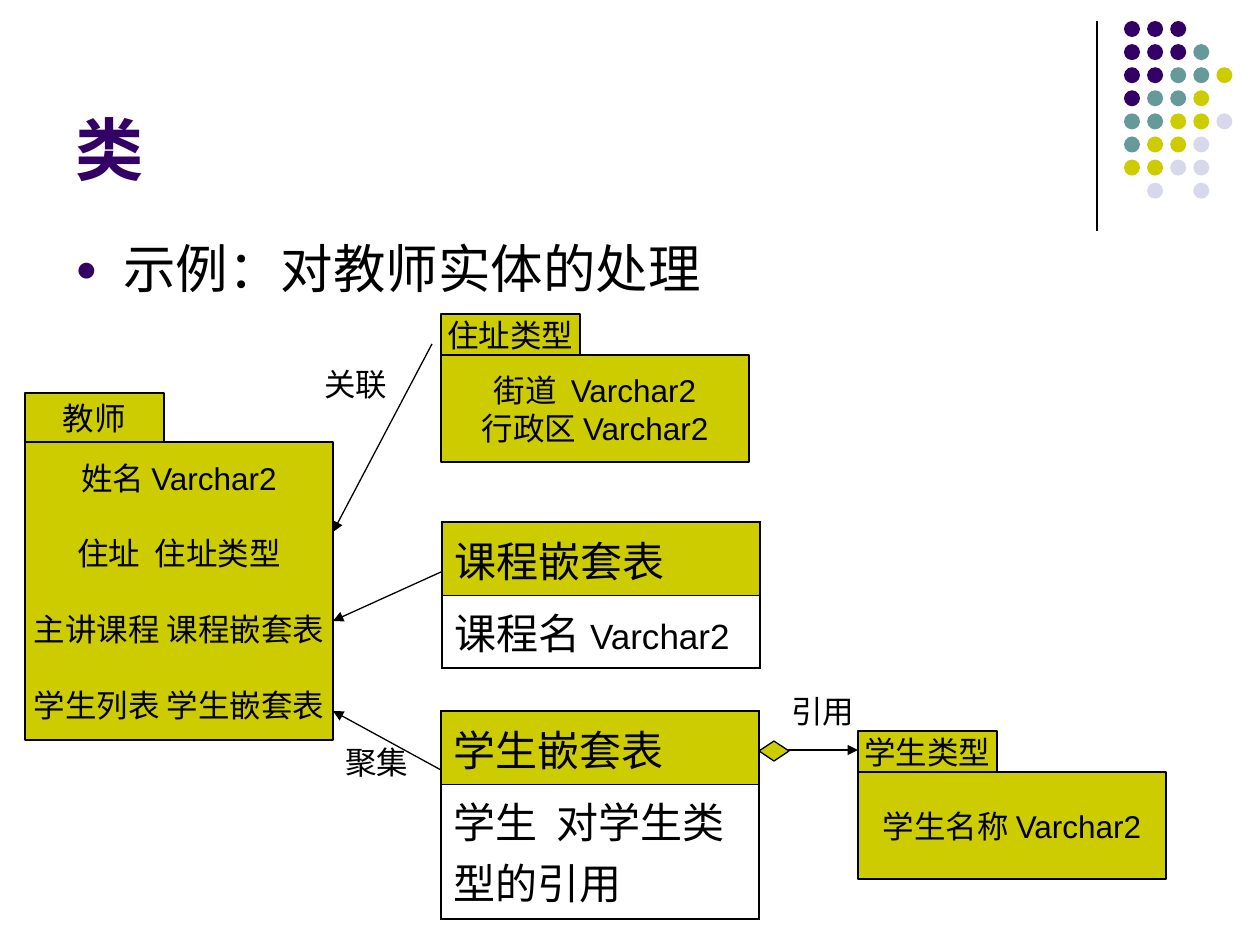
import pptx
import pptx.util
import pptx.dml.color
import pptx.enum.shapes
import pptx.enum.text
import pptx.oxml
import pptx.oxml.ns
from dataclasses import dataclass

EMU_PER_PX = 914400 / 126


@dataclass(frozen=True)
class Theme:
    font: str = "Arial"
    purple: str = "330066"
    teal: str = "669999"
    olive: str = "CCCC00"
    lilac: str = "D8D8EC"
    ink: str = "000000"
    title: int = 39
    body: int = 30
    table: int = 24
    type_name: int = 20
    label: int = 18
    line: float = 0.75
    border: float = 1.08
    divider: float = 0.45


THEME = Theme()
ALIGN = pptx.enum.text.PP_ALIGN
ANCHOR = pptx.enum.text.MSO_ANCHOR
SHAPE = pptx.enum.shapes.MSO_SHAPE


def px(*values):
    return [round(v * EMU_PER_PX) for v in values]


def rgb(value):
    return pptx.dml.color.RGBColor.from_string(value)


def xml(tag, attrs="", inner=""):
    return pptx.oxml.parse_xml(
        f'<a:{tag} {pptx.oxml.ns.nsdecls("a")} {attrs}>{inner}</a:{tag}>')


def style(r, size, color=THEME.ink, bold=False):
    r.font.name = THEME.font
    r.font.size = pptx.util.Pt(size)
    r.font.color.rgb = rgb(color)
    r.font.bold = bold


def write(tf, lines, size, color=THEME.ink, bold=False, align=ALIGN.LEFT,
          spacing=1.0, gap=0):
    tf.text = "\n".join(lines)
    for i, p in enumerate(tf.paragraphs):
        p.alignment = align
        p.line_spacing = spacing
        p.space_before = pptx.util.Pt(gap if i else 0)
        for r in p.runs:
            style(r, size, color, bold)


def add_title(s, text, box):
    sp = s.shapes.title
    sp.left, sp.top, sp.width, sp.height = px(*box)
    sp.text_frame.vertical_anchor = ANCHOR.BOTTOM
    write(sp.text_frame, [text], THEME.title, THEME.purple, bold=True)


def add_text(s, text, box, size, spacing):
    sp = s.shapes.add_textbox(*px(*box))
    sp.text_frame.word_wrap = True
    write(sp.text_frame, [text], size, spacing=spacing)
    return sp


def add_bullet(s, text, box):
    sp = add_text(s, text, box, THEME.body, 0.9)
    pPr = sp.text_frame.paragraphs[0]._p.get_or_add_pPr()
    indent = px(48)[0]
    pPr.set("marL", str(indent))
    pPr.set("indent", str(-indent))
    pPr.append(xml("buClr", inner=f'<a:srgbClr val="{THEME.purple}"/>'))
    pPr.append(xml("buSzPct", 'val="70000"'))
    pPr.append(xml("buFont", f'typeface="{THEME.font}"'))
    pPr.append(xml("buChar", 'char="●"'))


def add_shape(shapes, kind, box, fill, outlined=True):
    sp = shapes.add_shape(kind, *px(*box))
    sp.shadow.inherit = False
    sp.fill.solid()
    sp.fill.fore_color.rgb = rgb(fill)
    if outlined:
        sp.line.color.rgb = rgb(THEME.ink)
        sp.line.width = pptx.util.Pt(THEME.line)
    else:
        sp.line.fill.background()
    return sp


def add_class(s, name, fields, left, top, tab_height, body_height, gap=0):
    group = s.shapes.add_group_shape()
    parts = [([name], top, 139, tab_height),
             (fields, top + tab_height, 308, body_height)]
    for lines, y, width, height in parts:
        sp = add_shape(group.shapes, SHAPE.RECTANGLE,
                       (left, y, width, height), THEME.olive)
        tf = sp.text_frame
        tf.word_wrap = False
        tf.vertical_anchor = ANCHOR.MIDDLE
        write(tf, lines, THEME.label, align=ALIGN.CENTER,
              spacing=pptx.util.Pt(21.6), gap=gap)


def set_borders(cell, top, bottom):
    tcPr = cell._tc.get_or_add_tcPr()
    widths = {"lnL": THEME.border, "lnR": THEME.border, "lnT": top, "lnB": bottom}
    for tag, width in widths.items():
        tcPr.append(xml(tag, f'w="{pptx.util.Pt(width)}"',
                        f'<a:solidFill><a:srgbClr val="{THEME.ink}"/></a:solidFill>'))


def add_nested_table(s, left, top, heights, header, row):
    table = s.shapes.add_table(2, 1, *px(left, top, 318, sum(heights))).table
    table.first_row = table.horz_banding = False
    for i, height in enumerate(heights):
        table.rows[i].height = px(height)[0]
    head, body = table.cell(0, 0), table.cell(1, 0)
    set_borders(head, THEME.border, THEME.divider)
    set_borders(body, THEME.divider, THEME.border)
    head.fill.solid()
    head.fill.fore_color.rgb = rgb(THEME.olive)
    body.fill.background()
    write(head.text_frame, [header], THEME.table)
    write(body.text_frame, [row], THEME.table)
    return body


def add_line(s, start, end, arrow=True):
    c = s.shapes.add_connector(pptx.enum.shapes.MSO_CONNECTOR.STRAIGHT,
                               *px(*start, *end))
    c.line.color.rgb = rgb(THEME.ink)
    c.line.width = pptx.util.Pt(THEME.line)
    spPr = c._element.spPr
    if arrow:
        spPr.find(pptx.oxml.ns.qn("a:ln")).append(xml("tailEnd", 'type="triangle"'))
    spPr.append(xml("effectLst"))


def add_dots(s, left, top, step, size):
    colors = {"P": THEME.purple, "T": THEME.teal, "O": THEME.olive, "L": THEME.lilac}
    rows = ["PPP", "PPPT", "PPTTO", "PTTO", "TTOOL", "TOOL", "OOLL", ".L.L"]
    group = s.shapes.add_group_shape()
    for i, row in enumerate(rows):
        for j, key in enumerate(row):
            if key in colors:
                add_shape(group.shapes, SHAPE.OVAL,
                          (left + j * step, top + i * step, size, size),
                          colors[key], outlined=False)


def main():
    prs = pptx.Presentation()
    prs.slide_width, prs.slide_height = px(1260, 945)
    s = prs.slides.add_slide(prs.slide_layouts[5])

    add_line(s, (1097, 21), (1097, 231), arrow=False)
    add_dots(s, 1124, 21, 23.1, 16)
    add_title(s, "类", (63, 16, 1040, 179))
    add_bullet(s, "示例：对教师实体的处理", (63, 237, 1134, 76))

    teacher = ["姓名 Varchar2", "住址  住址类型", "主讲课程 课程嵌套表", "学生列表 学生嵌套表"]
    add_class(s, "教师", teacher, 25, 393, 49, 298, gap=21.6)
    add_class(s, "住址类型", ["街道  Varchar2", "行政区 Varchar2"], 441, 314, 41, 107)
    add_class(s, "学生类型", ["学生名称 Varchar2"], 858, 731, 41, 107)

    add_nested_table(s, 441, 711, (73, 135), "学生嵌套表", "学生  对学生类型的引用")
    course = add_nested_table(s, 442, 522, (73, 73), "课程嵌套表", "课程名 ")
    r = course.text_frame.paragraphs[0].add_run()
    r.text = "Varchar2"
    style(r, THEME.type_name)

    arrows = [((432, 344), (333, 532)), ((441, 572), (333, 621)),
              ((441, 770), (333, 711)), ((759, 750), (858, 750))]
    for start, end in arrows:
        add_line(s, start, end)
    add_shape(s.shapes, SHAPE.DIAMOND, (759, 741, 30, 20), THEME.olive)

    for text, left, top in [("聚集", 333, 741), ("关联", 312, 363), ("引用", 779, 690)]:
        add_text(s, text, (left, top, 110, 50), THEME.label, 0.9)

    prs.save("out.pptx")


if __name__ == "__main__":
    main()
